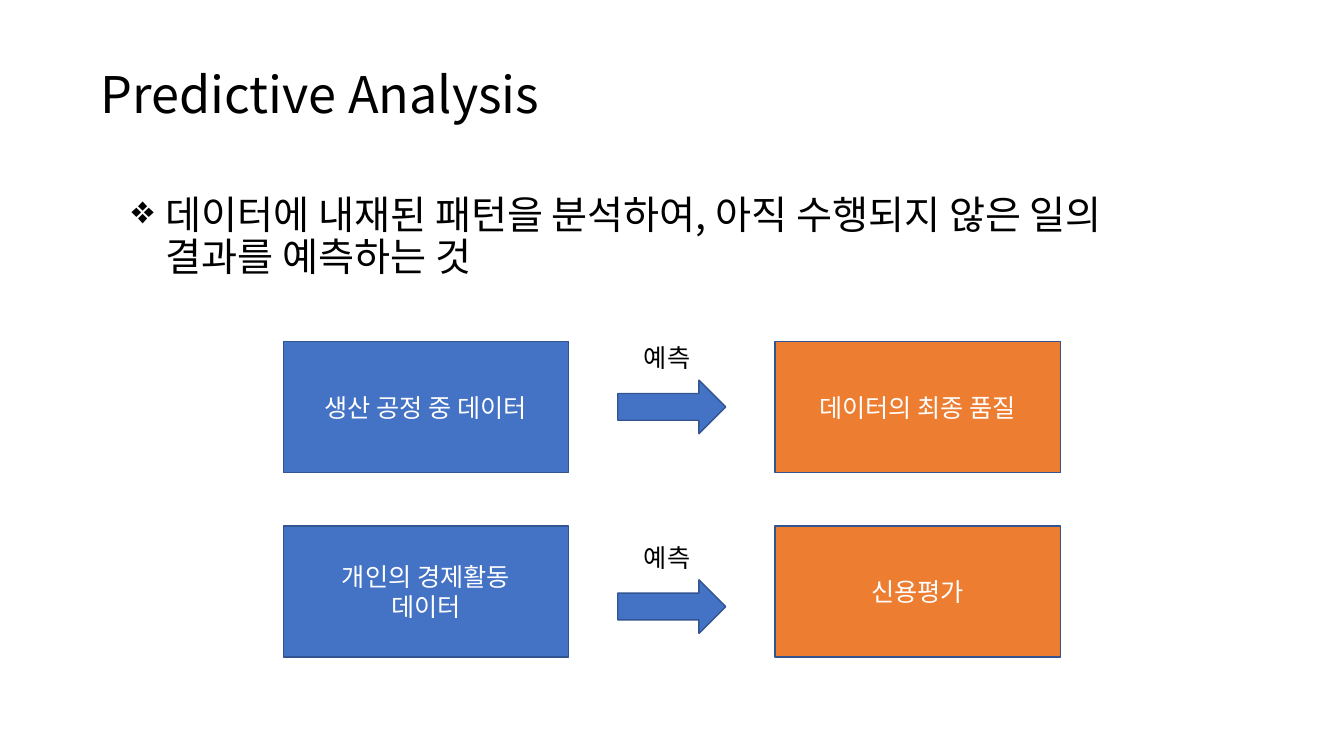
from lxml.etree import SubElement
from pptx import Presentation
from pptx.dml.color import RGBColor
from pptx.enum.shapes import MSO_SHAPE
from pptx.enum.text import MSO_ANCHOR, PP_ALIGN
from pptx.oxml.ns import qn
from pptx.util import Cm, Pt

FONT = "Noto Sans CJK KR"
BLACK = RGBColor(0x00, 0x00, 0x00)
WHITE = RGBColor(0xFF, 0xFF, 0xFF)
BLUE = RGBColor(0x44, 0x72, 0xC4)
ORANGE = RGBColor(0xED, 0x7D, 0x31)
OUTLINE = RGBColor(0x32, 0x54, 0x91)

SOURCE_LEFT, ARROW_LEFT, LABEL_LEFT, RESULT_LEFT = 7.14, 15.57, 15.98, 19.53
LABEL_TO_ARROW = 1.07

# Source text, result text, top of the boxes, top of the label
PREDICTIONS = [
    ("생산 공정 중 데이터", "데이터의 최종 품질", 8.61, 8.51),
    ("개인의 경제활동\n데이터", "신용평가", 13.26, 13.54),
]


def write_text(shape, text, size=18, color=BLACK, align=PP_ALIGN.LEFT,
               anchor=MSO_ANCHOR.TOP, wrap=True, spacing=None, bullet=None):
    frame = shape.text_frame
    frame.text = text
    frame.word_wrap = wrap
    frame.vertical_anchor = anchor
    for paragraph in frame.paragraphs:
        if bullet:
            add_bullet(paragraph, bullet)
        paragraph.alignment = align
        if spacing:
            paragraph.line_spacing = spacing
        for run in paragraph.runs:
            run.font.size = Pt(size)
            run.font.color.rgb = color
            run.font.name = FONT
            SubElement(run.font._element, qn("a:ea"), typeface=FONT)


def add_bullet(paragraph, character, indent=Cm(0.85)):
    properties = paragraph._p.get_or_add_pPr()
    properties.set("marL", str(indent))
    properties.set("indent", str(-indent))
    SubElement(properties, qn("a:buChar"), char=character)


def add_text(slide, text, left, top, width, height, **text_format):
    box = slide.shapes.add_textbox(Cm(left), Cm(top), Cm(width), Cm(height))
    write_text(box, text, **text_format)


def add_filled_shape(slide, kind, left, top, width, height, fill):
    shape = slide.shapes.add_shape(kind, Cm(left), Cm(top), Cm(width), Cm(height))
    shape.shadow.inherit = False
    shape.fill.solid()
    shape.fill.fore_color.rgb = fill
    shape.line.color.rgb = OUTLINE
    shape.line.width = Pt(1)
    return shape


def add_box(slide, text, left, top, fill):
    box = add_filled_shape(slide, MSO_SHAPE.RECTANGLE, left, top, 7.19, 3.3, fill)
    write_text(box, text, color=WHITE, align=PP_ALIGN.CENTER,
               anchor=MSO_ANCHOR.MIDDLE)


def add_prediction(slide, source, result, box_top, label_top):
    add_box(slide, source, SOURCE_LEFT, box_top, BLUE)
    add_box(slide, result, RESULT_LEFT, box_top, ORANGE)
    add_filled_shape(slide, MSO_SHAPE.RIGHT_ARROW, ARROW_LEFT,
                     label_top + LABEL_TO_ARROW, 2.72, 1.35, BLUE)
    add_text(slide, "예측", LABEL_LEFT, label_top, 1.8, 1.02, wrap=False)


def add_title(slide, text):
    title = slide.shapes.title
    title.left, title.top = Cm(2.29), Cm(1.63)
    title.width, title.height = Cm(18.87), Cm(1.8)
    write_text(title, text, size=36, spacing=0.9)


def main():
    presentation = Presentation()
    presentation.slide_width = Cm(33.87)
    presentation.slide_height = Cm(19.05)
    slide = presentation.slides.add_slide(presentation.slide_layouts[5])

    # Title and definition
    add_title(slide, "Predictive Analysis")
    add_text(slide, "데이터에 내재된 패턴을 분석하여, 아직 수행되지 않은 일의\v결과를 예측하는 것",
             3.07, 4.8, 28.73, 13.72, size=28, spacing=0.9, bullet="❖")

    # Examples, one per row
    for prediction in PREDICTIONS:
        add_prediction(slide, *prediction)

    presentation.save("out.pptx")


if __name__ == "__main__":
    main()
